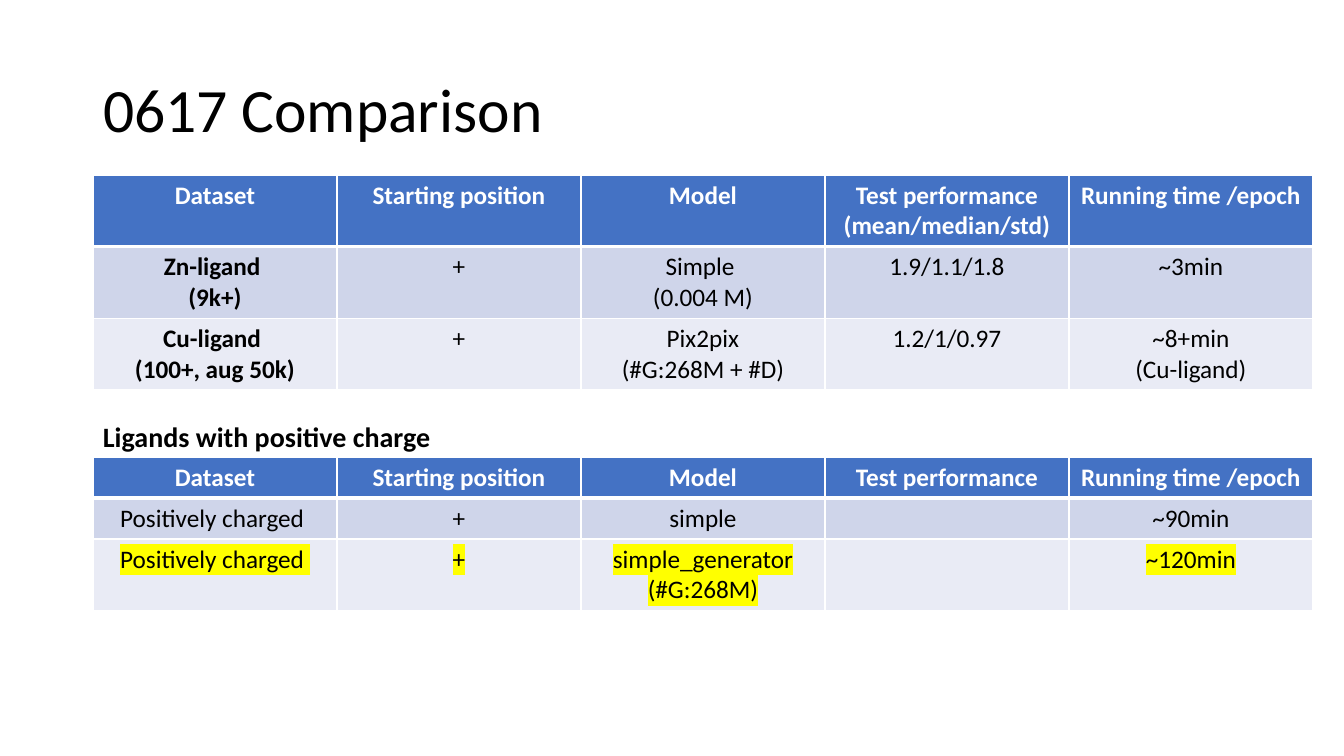
import dataclasses

import lxml.etree
import pptx
import pptx.dml.color
import pptx.enum.text
import pptx.oxml.ns
import pptx.util

EMU_PER_PX = 914400 / 100.8
ALIGN = pptx.enum.text.PP_ALIGN
ANCHOR = pptx.enum.text.MSO_ANCHOR
AUTO_SIZE = pptx.enum.text.MSO_AUTO_SIZE


@dataclasses.dataclass(frozen=True)
class Theme:
    font: str = "Calibri"
    title_size: int = 44
    label_size: int = 20
    cell_size: int = 18
    ink: str = "000000"
    paper: str = "FFFFFF"
    header: str = "4472C4"
    bands: tuple = ("CFD5EA", "E9EBF5")
    marker: str = "FFFF00"


def px(length):
    return pptx.util.Emu(round(length * EMU_PER_PX))


def rgb(code):
    return pptx.dml.color.RGBColor.from_string(code)


def set_all(target, values):
    for name, value in values.items():
        setattr(target, name, value)


def add_colour(parent, tag, code):
    element = lxml.etree.SubElement(parent, pptx.oxml.ns.qn(tag))
    lxml.etree.SubElement(element, pptx.oxml.ns.qn("a:srgbClr"), val=code)
    return element


class ComparisonSlide:
    def __init__(self, presentation, theme):
        self.theme = theme
        self.slide = presentation.slides.add_slide(presentation.slide_layouts[5])

    def put_text(self, frame, text, size, colour, bold=False, marked=False, **paragraph_format):
        frame.text = text
        for paragraph in frame.paragraphs:
            set_all(paragraph, paragraph_format)
            for run in paragraph.runs:
                set_all(run.font, {"name": self.theme.font, "size": pptx.util.Pt(size), "bold": bold})
                run.font.color.rgb = rgb(colour)
                if marked:
                    properties = run._r.get_or_add_rPr()
                    highlight = add_colour(properties, "a:highlight", self.theme.marker)
                    properties.find(pptx.oxml.ns.qn("a:solidFill")).addnext(highlight)

    def title(self, text, left, top, width, height):
        heading = self.slide.shapes.title
        set_all(heading, {"left": px(left), "top": px(top), "width": px(width), "height": px(height)})
        set_all(heading.text_frame, {"vertical_anchor": ANCHOR.MIDDLE, "auto_size": AUTO_SIZE.NONE})
        self.put_text(heading.text_frame, text, self.theme.title_size, self.theme.ink,
                      alignment=ALIGN.LEFT, line_spacing=0.9)

    def label(self, text, left, top, width, height):
        caption = self.slide.shapes.add_textbox(px(left), px(top), px(width), px(height))
        set_all(caption.text_frame, {"word_wrap": False, "auto_size": AUTO_SIZE.SHAPE_TO_FIT_TEXT})
        self.put_text(caption.text_frame, text, self.theme.label_size, self.theme.ink,
                      bold=True, alignment=ALIGN.LEFT)

    def borders(self, cell, widths):
        properties = cell._tc.get_or_add_tcPr()
        # Border lines come before the cell fill
        for index, (side, points) in enumerate(widths.items()):
            line = lxml.etree.Element(pptx.oxml.ns.qn(f"a:ln{side}"), w=str(pptx.util.Pt(points)))
            add_colour(line, "a:solidFill", self.theme.paper)
            properties.insert(index, line)

    def table(self, rows, left, top, column_width, row_heights, bold_first=False, marked_row=None):
        columns = len(rows[0])
        grid = self.slide.shapes.add_table(len(rows), columns, px(left), px(top),
                                           px(column_width * columns), px(sum(row_heights))).table
        for column in grid.columns:
            column.width = px(column_width)
        for r, (texts, height) in enumerate(zip(rows, row_heights)):
            grid.rows[r].height = px(height)
            is_header = r == 0
            fill = self.theme.header if is_header else self.theme.bands[(r - 1) % 2]
            for c, text in enumerate(texts):
                cell = grid.cell(r, c)
                cell.fill.solid()
                cell.fill.fore_color.rgb = rgb(fill)
                self.borders(cell, {"L": 1, "R": 1, "T": 3 if r == 1 else 1, "B": 3 if is_header else 1})
                self.put_text(cell.text_frame, text, self.theme.cell_size,
                              self.theme.paper if is_header else self.theme.ink,
                              bold=is_header or (bold_first and c == 0),
                              marked=r == marked_row, alignment=ALIGN.CENTER)


def header(performance):
    return ("Dataset", "Starting position", "Model", performance, "Running time /epoch")


CHARGED_LIGANDS = (
    header("Test performance"),
    ("Positively charged ", "+", "simple", "", "~90min"),
    ("Positively charged ", "+", "simple_generator\n(#G:268M)", "", "~120min"),
)
METAL_LIGANDS = (
    header("Test performance (mean/median/std)"),
    ("Zn-ligand \n(9k+)", "+", "Simple \n(0.004 M)", "1.9/1.1/1.8", "~3min"),
    ("Cu-ligand \n(100+, aug 50k)", "+", "Pix2pix\n(#G:268M + #D)", "1.2/1/0.97", "~8+min\n(Cu-ligand)"),
)
MARGIN, COLUMN = 93, 244
ONE_LINE, TWO_LINES = 41, 71


def main():
    presentation = pptx.Presentation()
    set_all(presentation, {"slide_width": px(1344), "slide_height": px(756)})
    page = ComparisonSlide(presentation, Theme())

    # Heading
    page.title("0617 Comparison", MARGIN, 40, 1159, 146)

    # Positively charged ligands, then ligands by metal
    page.table(CHARGED_LIGANDS, MARGIN, 457, COLUMN, (ONE_LINE, ONE_LINE, TWO_LINES), marked_row=2)
    page.table(METAL_LIGANDS, MARGIN, 175, COLUMN, (TWO_LINES,) * 3, bold_first=True)

    # Caption of the lower table
    page.label("Ligands with positive charge", MARGIN, 415, 351, 44)

    presentation.save("out.pptx")


if __name__ == "__main__":
    main()
